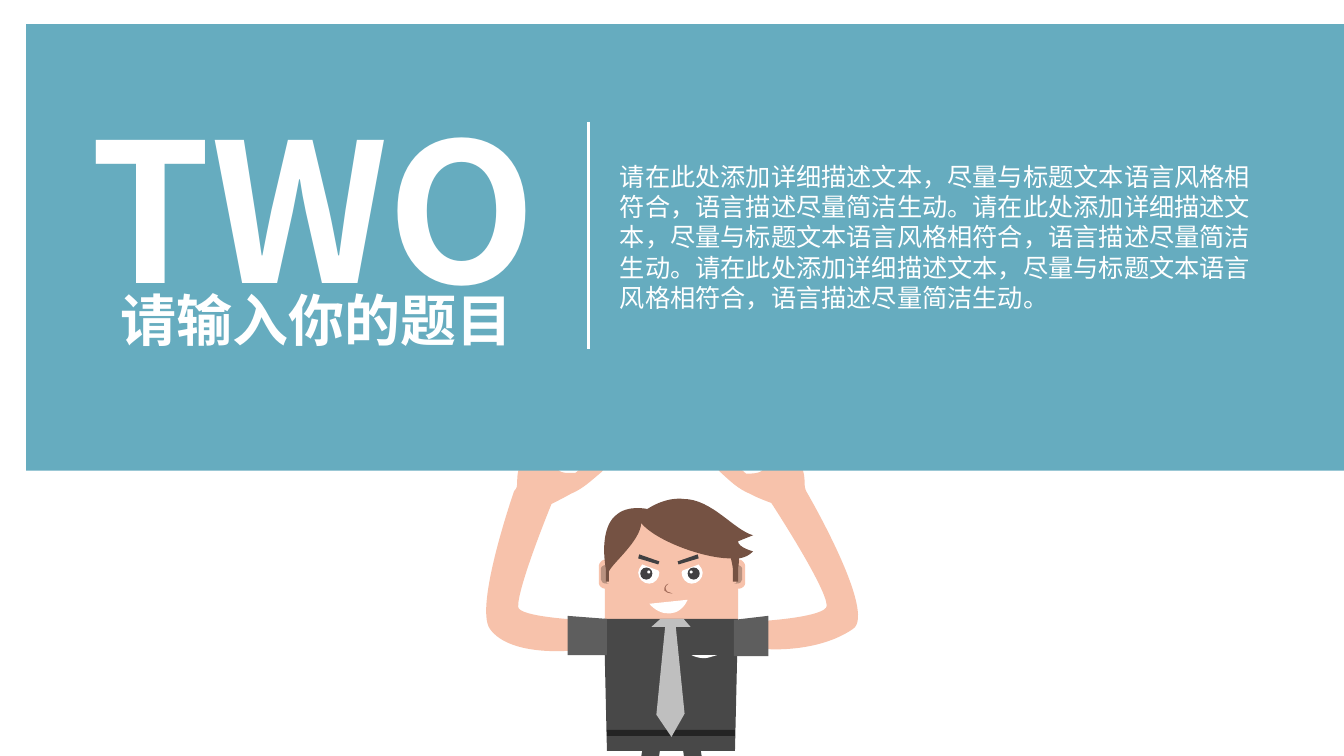
from lxml import etree
from pptx import Presentation
from pptx.dml.color import RGBColor
from pptx.enum import shapes, text
from pptx.oxml.ns import qn
from pptx.util import Inches, Pt

FONT = "Noto Sans CJK SC"
WHITE = RGBColor(0xFF, 0xFF, 0xFF)
TEAL = RGBColor(0x66, 0xAC, 0xBF)
SKIN = RGBColor(0xF7, 0xC2, 0xAB)
EAR_SHADE = RGBColor(0xB9, 0x92, 0x80)
NOSE = RGBColor(0xA4, 0x6D, 0x5B)
HAIR = RGBColor(0x75, 0x52, 0x43)
INK = RGBColor(0x41, 0x40, 0x42)
SUIT = RGBColor(0x48, 0x48, 0x48)
SLEEVE = RGBColor(0x5E, 0x5E, 0x5E)
BELT = RGBColor(0x24, 0x24, 0x24)
TIE = RGBColor(0xBF, 0xBF, 0xBF)

OVAL = shapes.MSO_SHAPE.OVAL
RECTANGLE = shapes.MSO_SHAPE.RECTANGLE

TITLE = "TWO"
SUBTITLE = "请输入你的题目"
SENTENCE = "请在此处添加详细描述文本，尽量与标题文本语言风格相符合，语言描述尽量简洁生动。"
DESCRIPTION = SENTENCE * 3

# Outlines in inches: a pair is a straight step, six numbers are a cubic curve
LEG = [(6.92, 7.26), (7.1, 8.36), (6.9, 8.36), (6.75, 7.26)]
HEAD = [(7.32, 5.75), (7.32, 5.39, 7.02, 5.1, 6.66, 5.1), (6.29, 5.1, 6, 5.39, 6, 5.75),
        (6, 6.17), (6, 6.53, 7.32, 6.53, 7.32, 6.17)]
BODY = [(7.29, 7.45), (6.02, 7.45), (5.99, 6.14), (7.32, 6.14)]
COLLAR = [(6.55, 6.14), (6.46, 6.22), (6.85, 6.22), (6.78, 6.14)]
EAR = [(7.27, 5.79), (7.27, 5.81, 7.29, 5.84, 7.33, 5.84), (7.36, 5.84, 7.39, 5.81, 7.39, 5.79),
       (7.39, 5.61), (7.39, 5.59, 7.36, 5.55, 7.33, 5.55), (7.29, 5.55, 7.27, 5.59, 7.27, 5.61)]
INNER_EAR = [(7.3, 5.75), (7.3, 5.64), (7.3, 5.63, 7.3, 5.6, 7.27, 5.6), (7.28, 5.6),
             (7.33, 5.6, 7.36, 5.62, 7.36, 5.64), (7.36, 5.75),
             (7.36, 5.77, 7.34, 5.79, 7.3, 5.79), (7.28, 5.79),
             (7.32, 5.79, 7.3, 5.76, 7.3, 5.75)]
BROW = [(6.73, 5.6), (6.72, 5.57), (6.92, 5.5), (6.93, 5.54)]
NOSE_LINE = [(6.63, 5.79), (6.61, 5.81), (6.6, 5.83), (6.61, 5.86), (6.62, 5.87), (6.65, 5.88),
             (6.67, 5.89), (6.62, 5.88), (6.59, 5.86), (6.59, 5.83), (6.6, 5.81), (6.61, 5.8)]
EYE = [(6.93, 5.6), (6.77, 5.66), (6.77, 5.67, 6.76, 5.67, 6.76, 5.68),
       (6.76, 5.74, 6.81, 5.79, 6.86, 5.79), (6.92, 5.79, 6.97, 5.74, 6.97, 5.68),
       (6.97, 5.65, 6.95, 5.63, 6.93, 5.6)]
MOUTH = [(6.44, 5.99), (6.55, 6.12, 6.74, 6.13, 6.82, 5.95)]
NECKTIE = [(6.6, 6.19), (6.51, 7.09), (6.66, 7.31), (6.79, 7.08), (6.7, 6.19)]
POCKET = [(7.11, 6.5), (6.86, 6.5), (6.86, 6.5, 6.91, 6.53, 6.99, 6.53),
          (7.02, 6.53, 7.07, 6.51, 7.11, 6.5)]
HAIRCUT = [(7.32, 5.37), (7.47, 5.31), (7.28, 5.26, 7.06, 4.95, 6.78, 4.95),
           (6.78, 4.95, 6.62, 4.92, 6.42, 5.05), (6.42, 5.05, 6.22, 5, 6.1, 5.12),
           (6.1, 5.12, 5.94, 5.23, 6.01, 5.65), (6.01, 5.77), (6.04, 5.77), (6.04, 5.67),
           (6.07, 5.59, 6.35, 5.37, 6.36, 5.19), (6.5, 5.36, 6.97, 5.54, 7.25, 5.54),
           (7.26, 5.59, 7.27, 5.62, 7.27, 5.67), (7.27, 5.77), (7.32, 5.77), (7.32, 5.65),
           (7.32, 5.63, 7.33, 5.6, 7.33, 5.54), (7.39, 5.53, 7.43, 5.51, 7.47, 5.47),
           (7.47, 5.47, 7.32, 5.43, 7.32, 5.37)]
LEFT_ARM = [(5.66, 4.9), (5.78, 4.85, 5.85, 4.78, 5.97, 4.68), (6, 4.64, 6.04, 4.56, 6, 4.53),
            (5.98, 4.51, 5.91, 4.51, 5.86, 4.55), (5.77, 4.64, 5.71, 4.69, 5.71, 4.69),
            (5.59, 4.7, 5.51, 4.69, 5.52, 4.59), (5.52, 4.58, 5.55, 4.56, 5.56, 4.55),
            (5.56, 4.55, 5.52, 4.49, 5.5, 4.39), (5.49, 4.38, 5.43, 4.42, 5.42, 4.42),
            (5.25, 4.49, 5.23, 4.52, 5.16, 4.62), (5.13, 4.67, 5.13, 4.75, 5.13, 4.8),
            (5.13, 4.85, 5.1, 4.87, 5.1, 4.87), (5.1, 4.87, 4.7, 6.02, 4.86, 6.24),
            (5.07, 6.53, 5.72, 6.45, 5.72, 6.45), (5.75, 6.15),
            (5.75, 6.15, 5.14, 6.12, 5.14, 6.02), (5.13, 5.83, 5.47, 5, 5.47, 5),
            (5.47, 5, 5.59, 4.94, 5.66, 4.9)]
RIGHT_ARM = [(8, 4.88), (8, 4.88, 7.98, 4.85, 7.98, 4.8), (7.98, 4.76, 7.98, 4.67, 7.94, 4.62),
             (7.87, 4.52, 7.85, 4.49, 7.69, 4.43), (7.67, 4.42, 7.61, 4.38, 7.6, 4.39),
             (7.58, 4.5, 7.54, 4.55, 7.54, 4.55), (7.56, 4.56, 7.58, 4.58, 7.58, 4.6),
             (7.59, 4.69, 7.51, 4.7, 7.4, 4.7), (7.4, 4.7, 7.33, 4.64, 7.24, 4.55),
             (7.19, 4.51, 7.13, 4.51, 7.1, 4.54), (7.08, 4.58, 7.1, 4.64, 7.14, 4.68),
             (7.25, 4.78, 7.32, 4.85, 7.44, 4.9), (7.51, 4.94, 7.65, 4.99, 7.65, 4.99),
             (7.65, 4.99, 8.2, 5.83, 8.2, 6.01), (8.2, 6.12, 7.58, 6.16, 7.58, 6.16),
             (7.61, 6.44), (7.61, 6.44, 8.11, 6.48, 8.46, 6.24),
             (8.7, 6.08, 8, 4.88, 8, 4.88)]
LEFT_SLEEVE = [(5.63, 6.11), (5.63, 6.5), (6.02, 6.5), (6.02, 6.14)]
RIGHT_SLEEVE = [(7.62, 6.11), (7.62, 6.51), (7.28, 6.51), (7.28, 6.15)]

# Back to front: outline, colour, and x + mirrored x of a twin (None for a single part)
UNDER_PARTS = [(LEG, SUIT, 13.32), (HEAD, SKIN, None), (BODY, SUIT, None), (COLLAR, TIE, None),
               (EAR, SKIN, 13.33), (INNER_EAR, EAR_SHADE, 13.32), (BROW, INK, 13.26),
               (NOSE_LINE, NOSE, None), (EYE, WHITE, 13.3), (MOUTH, WHITE, None)]
PRESETS = [(OVAL, (6.82, 5.63, 0.12, 0.12), INK), (OVAL, (6.84, 5.66, 0.03, 0.03), WHITE),
           (OVAL, (6.35, 5.63, 0.12, 0.12), INK), (OVAL, (6.42, 5.66, 0.03, 0.03), WHITE),
           (RECTANGLE, (6.02, 7.24, 1.27, 0.06), BELT)]
OVER_PARTS = [(NECKTIE, TIE, None), (POCKET, WHITE, None), (HAIRCUT, HAIR, None),
              (LEFT_ARM, SKIN, None), (RIGHT_ARM, SKIN, None),
              (LEFT_SLEEVE, SLEEVE, None), (RIGHT_SLEEVE, SLEEVE, None)]


def paint(shape, colour):
    shape.shadow.inherit = False
    shape.fill.solid()
    shape.fill.fore_color.rgb = colour
    shape.line.fill.background()


def mirror(outline, total):
    return [tuple(v if i % 2 else total - v for i, v in enumerate(step)) for step in outline]


def add_outline(group, outline, colour):
    corners = [(Inches(step[i]), Inches(step[i + 1]))
               for step in outline for i in range(0, len(step), 2)]
    builder = group.shapes.build_freeform(*corners[0])
    builder.add_line_segments(corners[1:], close=True)
    shape = builder.convert_to_shape()
    paint(shape, colour)
    # Join each run of three points into one cubic curve
    lines = iter(list(shape._element.iter(qn("a:lnTo"))))
    for step in outline[1:]:
        segment = next(lines)
        if len(step) == 6:
            segment.tag = qn("a:cubicBezTo")
            for _ in range(2):
                extra = next(lines)
                segment.append(extra[0])
                extra.getparent().remove(extra)


def add_parts(group, parts):
    for outline, colour, total in parts:
        add_outline(group, outline, colour)
        if total is not None:
            add_outline(group, mirror(outline, total), colour)


def add_preset(parent, kind, place, colour):
    paint(parent.shapes.add_shape(kind, *map(Inches, place)), colour)


def add_text(parent, words, place, size, bold=False, wrap=True, align=None):
    box = parent.shapes.add_textbox(*map(Inches, place))
    frame = box.text_frame
    frame.word_wrap = wrap
    frame.auto_size = text.MSO_AUTO_SIZE.SHAPE_TO_FIT_TEXT
    para = frame.paragraphs[0]
    para.alignment = align
    span = para.add_run()
    span.text = words
    span.font.size = Pt(size)
    span.font.bold = bold
    span.font.color.rgb = WHITE
    span.font.name = FONT
    etree.SubElement(span.font._element, qn("a:ea"), typeface=FONT)


deck = Presentation()
deck.slide_width, deck.slide_height = Inches(13.33), Inches(7.5)
page = deck.slides.add_slide(deck.slide_layouts[6])

# Man holding up the banner
man = page.shapes.add_group_shape()
add_parts(man, UNDER_PARTS)
for kind, place, colour in PRESETS:
    add_preset(man, kind, place, colour)
add_parts(man, OVER_PARTS)

# Banner and divider
add_preset(page, RECTANGLE, (0.26, 0.24, 13.07, 4.43), TEAL)
divider = page.shapes.add_connector(shapes.MSO_CONNECTOR.STRAIGHT,
                                    *map(Inches, (5.84, 1.21, 5.84, 3.46)))
divider.line.color.rgb = WHITE
divider.line.width = Pt(2.25)
etree.SubElement(divider._element.spPr, qn("a:effectLst"))

# Heading and description
heading = page.shapes.add_group_shape()
add_text(heading, TITLE, (0.8, 0.85, 5.12, 2.42), 138, bold=True, wrap=False)
add_text(heading, SUBTITLE, (1.1, 2.78, 4.52, 0.77), 40, bold=True,
         align=text.PP_ALIGN.JUSTIFY)
add_text(page, DESCRIPTION, (6.05, 1.55, 6.67, 1.62), 18)

deck.save("out.pptx")
